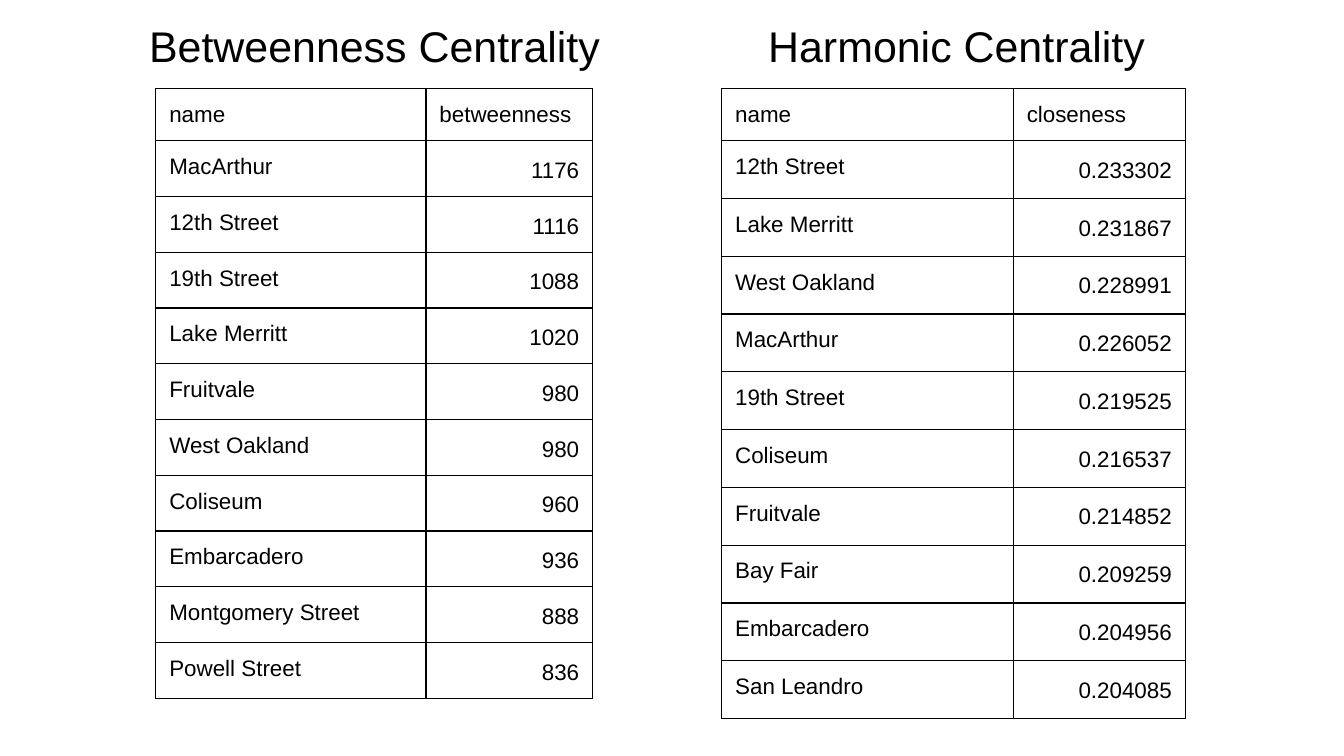
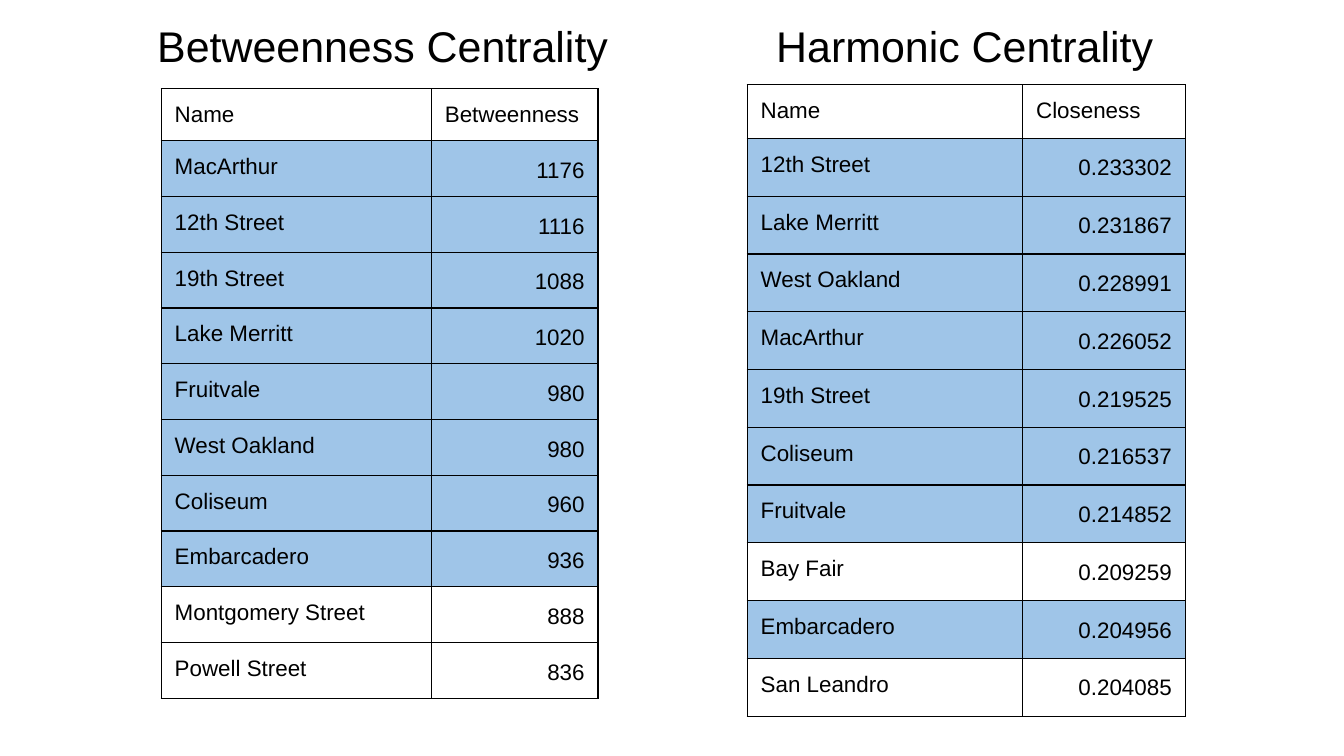
from pptx import Presentation
from pptx.dml.color import RGBColor
from pptx.enum.text import MSO_ANCHOR, MSO_AUTO_SIZE, PP_ALIGN
from pptx.oxml import parse_xml
from pptx.oxml.ns import nsdecls
from pptx.util import Inches, Pt

COLORS = {"text": "000000", "border": "000000", "shared": "9FC5E8", "background": "FFFFFF"}
FONT = "Arial"
INSET = Inches(0.1)
SLIDE_WIDTH = 10
SLIDE_HEIGHT = SLIDE_WIDTH * 9 / 16
TITLE_TOP, TITLE_WIDTH, TITLE_HEIGHT = 0.15, 4.52, 0.48
TITLE_GAP = 4.33

BETWEENNESS = [
    ("MacArthur", "1176"),
    ("12th Street", "1116"),
    ("19th Street", "1088"),
    ("Lake Merritt", "1020"),
    ("Fruitvale", "980"),
    ("West Oakland", "980"),
    ("Coliseum", "960"),
    ("Embarcadero", "936"),
    ("Montgomery Street", "888"),
    ("Powell Street", "836"),
]
CLOSENESS = [
    ("12th Street", "0.233302"),
    ("Lake Merritt", "0.231867"),
    ("West Oakland", "0.228991"),
    ("MacArthur", "0.226052"),
    ("19th Street", "0.219525"),
    ("Coliseum", "0.216537"),
    ("Fruitvale", "0.214852"),
    ("Bay Fair", "0.209259"),
    ("Embarcadero", "0.204956"),
    ("San Leandro", "0.204085"),
]
SHARED_STATIONS = set(dict(BETWEENNESS)) & set(dict(CLOSENESS))


def color(name):
    return RGBColor.from_string(COLORS[name])


def style_paragraph(paragraph, size, alignment):
    paragraph.alignment = alignment
    paragraph.font.name = FONT
    paragraph.font.size = Pt(size)
    paragraph.font.color.rgb = color("text")


def set_insets(target):
    target.margin_left = target.margin_top = INSET
    target.margin_right = target.margin_bottom = INSET


def format_title(shape, left, text):
    shape.left, shape.top = Inches(left), Inches(TITLE_TOP)
    shape.width, shape.height = Inches(TITLE_WIDTH), Inches(TITLE_HEIGHT)
    frame = shape.text_frame
    frame.text = text
    frame.word_wrap = True
    frame.auto_size = MSO_AUTO_SIZE.NONE
    frame.vertical_anchor = MSO_ANCHOR.BOTTOM
    set_insets(frame)
    style_paragraph(frame.paragraphs[0], 23, PP_ALIGN.CENTER)


def add_borders(cell):
    properties = cell._tc.get_or_add_tcPr()
    for side in ("lnL", "lnR", "lnT", "lnB"):
        properties.append(parse_xml(
            f'<a:{side} {nsdecls("a")} w="{Pt(0.75)}"><a:solidFill>'
            f'<a:srgbClr val="{COLORS["border"]}"/></a:solidFill></a:{side}>'
        ))


def format_cell(cell, text, is_value, highlighted):
    cell.text = text
    cell.vertical_anchor = MSO_ANCHOR.TOP
    set_insets(cell)
    paragraph = cell.text_frame.paragraphs[0]
    style_paragraph(paragraph, 12, PP_ALIGN.RIGHT if is_value else PP_ALIGN.LEFT)
    if is_value:
        paragraph.line_spacing = 1.15
    add_borders(cell)
    if highlighted:
        cell.fill.solid()
        cell.fill.fore_color.rgb = color("shared")
    else:
        cell.fill.background()


def add_ranking(slide, left, top, widths, header_height, row_height, header, stations, highlight):
    records = [header, *stations]
    height = header_height + row_height * len(stations)
    table = slide.shapes.add_table(
        len(records), len(widths), Inches(left), Inches(top), Inches(sum(widths)), Inches(height)
    ).table
    table.first_row = table.horz_banding = False
    for column, width in zip(table.columns, widths):
        column.width = Inches(width)
    for row_index, record in enumerate(records):
        table.rows[row_index].height = Inches(row_height if row_index else header_height)
        highlighted = highlight and record[0] in SHARED_STATIONS
        for column_index, text in enumerate(record):
            is_value = row_index > 0 and column_index == 1
            format_cell(table.cell(row_index, column_index), text, is_value, highlighted)


def add_centrality_slide(presentation, title_left, betweenness, closeness, highlight):
    slide = presentation.slides.add_slide(presentation.slide_layouts[5])
    slide.background.fill.solid()
    slide.background.fill.fore_color.rgb = color("background")
    format_title(slide.shapes.title, title_left, "Betweenness Centrality")
    add_ranking(slide, **closeness, stations=CLOSENESS, highlight=highlight)
    second_title = slide.shapes.add_textbox(0, 0, 0, 0)
    format_title(second_title, title_left + TITLE_GAP, "Harmonic Centrality")
    add_ranking(slide, **betweenness, top=0.66, widths=(2.01, 1.24), header_height=0.37,
                row_height=0.4, stations=BETWEENNESS, highlight=highlight)


def main():
    presentation = Presentation()
    presentation.slide_width = Inches(SLIDE_WIDTH)
    presentation.slide_height = Inches(SLIDE_HEIGHT)
    add_centrality_slide(
        presentation, 0.53,
        dict(left=1.16, header=("name", "betweenness")),
        dict(left=5.37, top=0.66, widths=(2.17, 1.28), header_height=0.37,
             row_height=0.43, header=("name", "closeness")),
        highlight=False,
    )
    add_centrality_slide(
        presentation, 0.59,
        dict(left=1.2, header=("Name", "Betweenness")),
        dict(left=5.56, top=0.63, widths=(2.05, 1.21), header_height=0.4,
             row_height=0.43, header=("Name", "Closeness")),
        highlight=True,
    )
    presentation.save("out.pptx")


if __name__ == "__main__":
    main()
